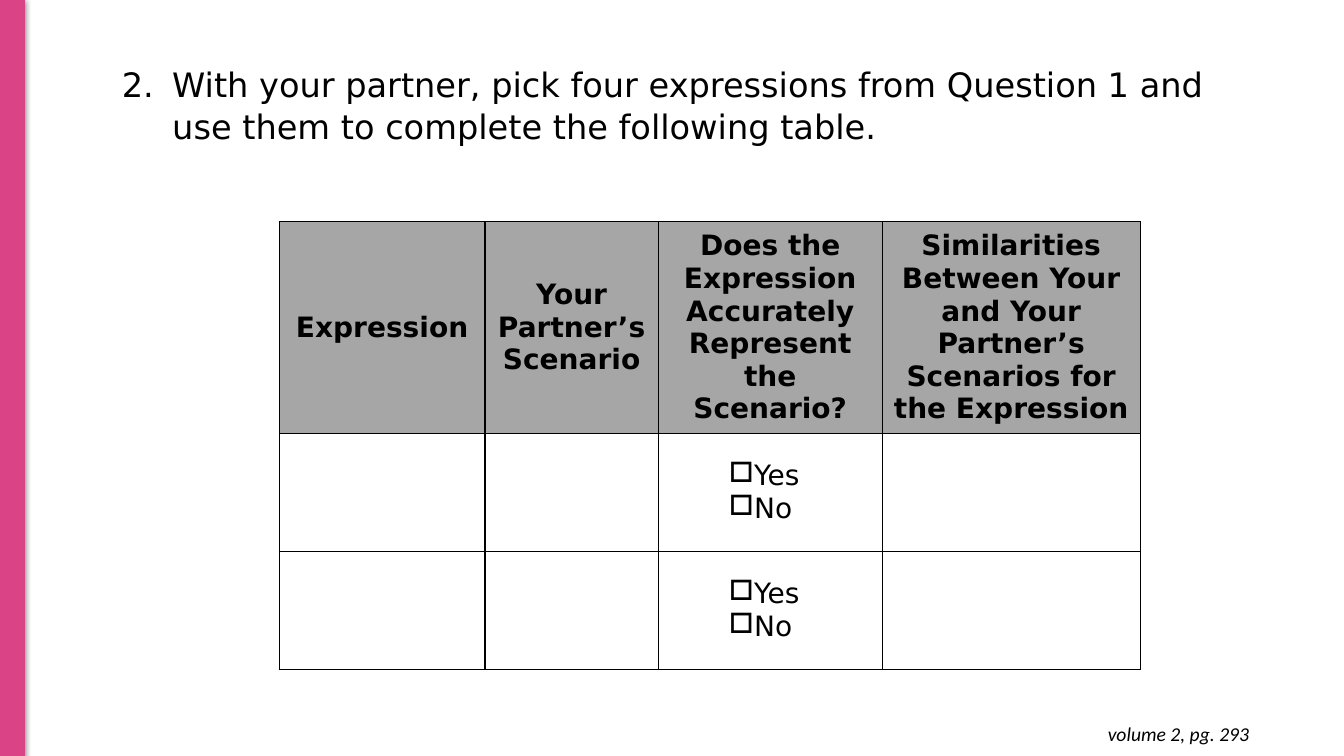
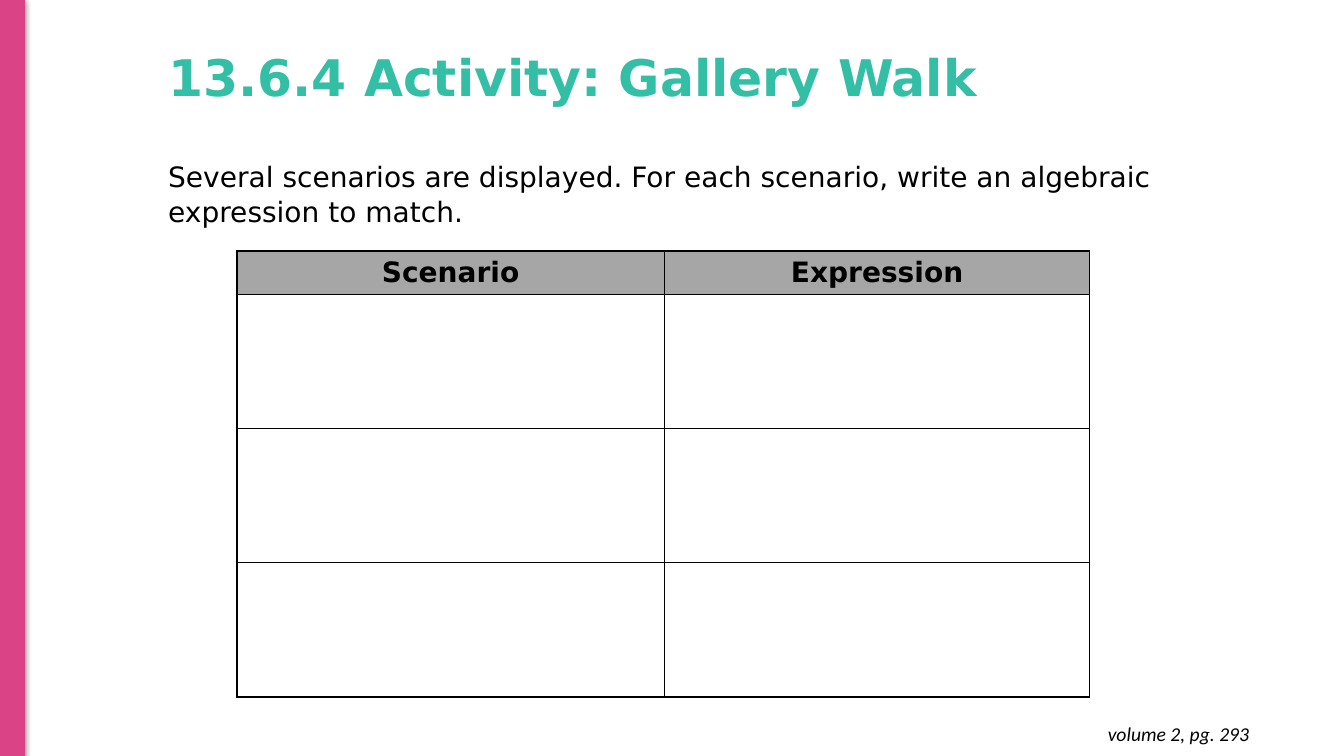
from dataclasses import dataclass

from lxml import etree
from pptx import Presentation
from pptx.dml.color import RGBColor
from pptx.enum.shapes import MSO_SHAPE
from pptx.enum.text import MSO_ANCHOR, MSO_AUTO_SIZE, PP_ALIGN
from pptx.oxml import parse_xml
from pptx.oxml.ns import nsdecls, qn
from pptx.util import Inches, Pt

RECTANGLE = MSO_SHAPE.RECTANGLE
TOP, MIDDLE = MSO_ANCHOR.TOP, MSO_ANCHOR.MIDDLE
LEFT, CENTER, RIGHT = PP_ALIGN.LEFT, PP_ALIGN.CENTER, PP_ALIGN.RIGHT
GROW, FIXED = MSO_AUTO_SIZE.SHAPE_TO_FIT_TEXT, MSO_AUTO_SIZE.NONE


@dataclass(frozen=True)
class Theme:
    band: str = "DA4487"
    title: str = "33BEA6"
    header: str = "A6A6A6"
    ink: str = "000000"
    font: str = "DejaVu Sans"
    footer_font: str = "Calibri"
    title_size: int = 36
    question_size: int = 24
    body_size: int = 20
    footer_size: int = 14


THEME = Theme()
PAGE_REFERENCE = "volume 2, pg. 293"


def rgb(value):
    return RGBColor.from_string(value)


def add_bullet(paragraph, hanging, kind, **attributes):
    """Give a paragraph a hanging indent and a bullet or number."""
    properties = paragraph._p.get_or_add_pPr()
    properties.set("marL", str(Inches(hanging)))
    properties.set("indent", str(-Inches(hanging)))
    colour = etree.SubElement(properties, qn("a:buClr"))
    etree.SubElement(colour, qn("a:srgbClr"), val=THEME.ink)
    etree.SubElement(properties, qn(kind), **attributes)


def write(frame, *lines, size=THEME.body_size, font=THEME.font, colour=THEME.ink,
          bold=False, italic=False, align=LEFT, spacing=None, bullet=None):
    """Write one paragraph for each line, all in the same format."""
    for index, line in enumerate(lines):
        paragraph = frame.add_paragraph() if index else frame.paragraphs[0]
        paragraph.alignment = align
        if spacing:
            paragraph.line_spacing = spacing
        if bullet:
            add_bullet(paragraph, **bullet)
        run = paragraph.add_run()
        run.text = line
        run.font.size, run.font.name = Pt(size), font
        run.font.bold, run.font.italic = bold, italic
        run.font.color.rgb = rgb(colour)


def add_text(slide, box, text, anchor=TOP, inset=0.05, fit=GROW, **style):
    frame = slide.shapes.add_textbox(*map(Inches, box)).text_frame
    frame.word_wrap = True
    frame.auto_size = fit
    frame.vertical_anchor = anchor
    frame.margin_top = frame.margin_bottom = Inches(inset)
    write(frame, text, **style)


# Side band with its soft shadow
def add_band(slide, box):
    band = slide.shapes.add_shape(RECTANGLE, *map(Inches, box))
    band.fill.solid()
    band.fill.fore_color.rgb = rgb(THEME.band)
    band.line.color.rgb = rgb(THEME.band)
    band.line.width = Pt(0.75)
    band._element.spPr.append(parse_xml(
        f'<a:effectLst {nsdecls("a")}><a:outerShdw blurRad="{Pt(4.5)}" '
        f'dist="{Pt(1.5)}" dir="5400000" rotWithShape="0">'
        f'<a:srgbClr val="{THEME.ink}"><a:alpha val="50000"/></a:srgbClr>'
        '</a:outerShdw></a:effectLst>'))


def add_page(deck):
    """Add a blank slide with the shared band and page reference."""
    slide = deck.slides.add_slide(deck.slide_layouts[6])
    add_band(slide, (0, -0.01, 0.24, 7.51))
    add_text(slide, (9.61, 7.06, 2.88, 0.44), PAGE_REFERENCE, inset=0.1,
             size=THEME.footer_size, font=THEME.footer_font, italic=True, align=RIGHT)
    return slide


# Ruled worksheet table
def rule_cell(cell):
    properties = cell._tc.get_or_add_tcPr()
    for side in ("lnL", "lnR", "lnT", "lnB"):
        properties.append(parse_xml(
            f'<a:{side} {nsdecls("a")} w="{Pt(1)}"><a:solidFill>'
            f'<a:srgbClr val="{THEME.ink}"/></a:solidFill></a:{side}>'))


def add_worksheet(slide, left, top, widths, heights, headers):
    table = slide.shapes.add_table(
        len(heights), len(widths), Inches(left), Inches(top),
        Inches(sum(widths)), Inches(sum(heights))).table
    table.first_row = table.horz_banding = False
    for column, width in zip(table.columns, widths):
        column.width = Inches(width)
    for row, height in zip(table.rows, heights):
        row.height = Inches(height)
    for cell in table.iter_cells():
        rule_cell(cell)
        cell.vertical_anchor = MIDDLE
        cell.fill.background()
    for cell, header in zip(table.rows[0].cells, headers):
        cell.fill.solid()
        cell.fill.fore_color.rgb = rgb(THEME.header)
        write(cell.text_frame, header, bold=True, align=CENTER)
    return table


def add_choices(cell):
    cell.margin_left = Inches(0.7)
    cell.margin_top = cell.margin_bottom = Inches(0.25)
    write(cell.text_frame, "Yes", "No",
          bullet={"hanging": 0.25, "kind": "a:buChar", "char": "□"})


def build_partner_slide(deck):
    slide = add_page(deck)
    add_text(slide, (1.11, 0.57, 11.28, 0.91),
             "With your partner, pick four expressions from Question 1 and "
             "use them to complete the following table.",
             size=THEME.question_size, spacing=1.04,
             bullet={"hanging": 0.5, "kind": "a:buAutoNum",
                     "type": "arabicPeriod", "startAt": "2"})
    table = add_worksheet(
        slide, 2.77, 2.2, (2.04, 1.72, 2.22, 2.56), (2.1, 1.17, 1.17),
        ("Expression", "Your Partner’s Scenario",
         "Does the Expression Accurately Represent the Scenario?",
         "Similarities Between Your and Your Partner’s Scenarios for the Expression"))
    for row in (1, 2):
        add_choices(table.cell(row, 2))


def build_gallery_slide(deck):
    slide = add_page(deck)
    add_text(slide, (1.57, 0.07, 8.77, 1.45), "13.6.4 Activity: Gallery Walk",
             anchor=MIDDLE, fit=FIXED, size=THEME.title_size, colour=THEME.title,
             bold=True, spacing=0.9)
    add_text(slide, (1.57, 1.52, 10.47, 0.77),
             "Several scenarios are displayed. For each scenario, write an "
             "algebraic expression to match.", spacing=1.04)
    add_worksheet(slide, 2.35, 2.49, (4.24, 4.22), (0.43, 1.33, 1.33, 1.33),
                  ("Scenario", "Expression"))


def main():
    deck = Presentation()
    deck.slide_width, deck.slide_height = Inches(13.33), Inches(7.5)
    build_partner_slide(deck)
    build_gallery_slide(deck)
    deck.save("out.pptx")


if __name__ == "__main__":
    main()
